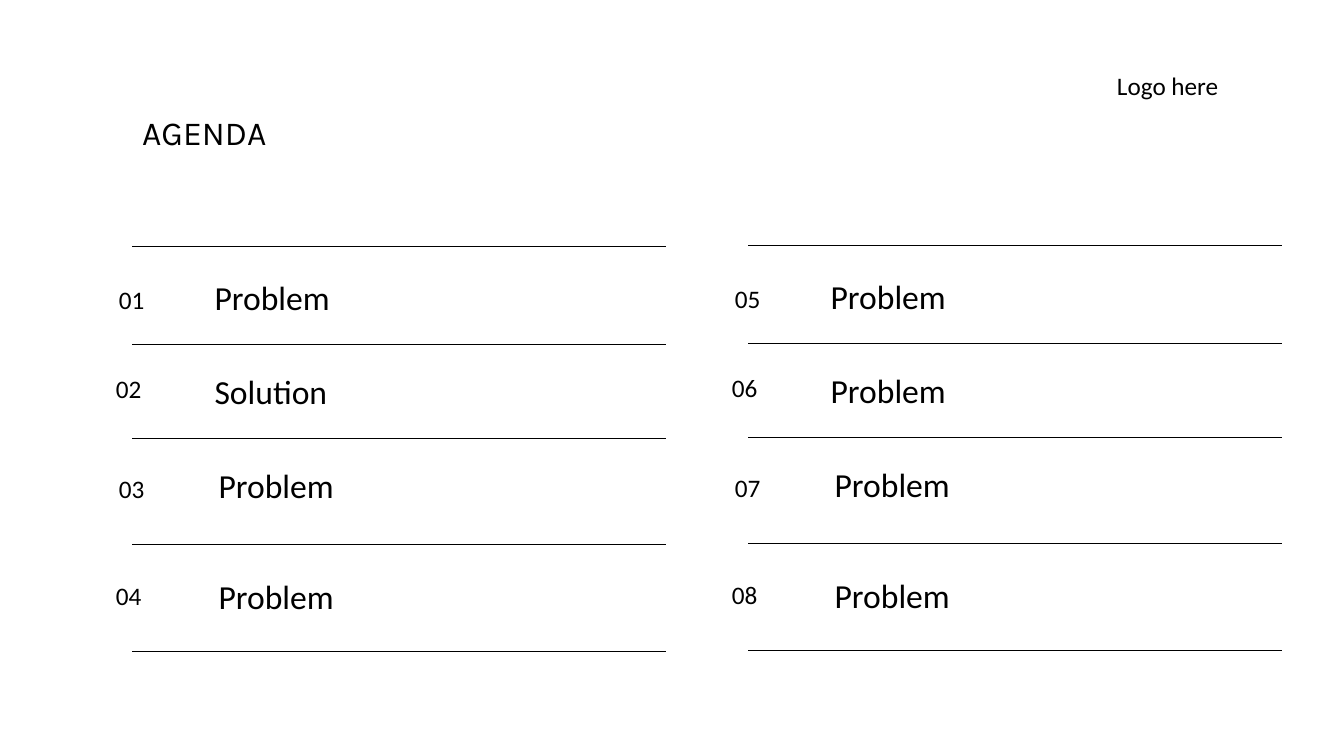
from lxml import etree
from pptx import Presentation
from pptx.dml.color import RGBColor
from pptx.enum.shapes import MSO_CONNECTOR
from pptx.enum.text import MSO_ANCHOR, MSO_AUTO_SIZE, PP_ALIGN
from pptx.oxml.ns import qn
from pptx.util import Inches, Pt

STRAIGHT = MSO_CONNECTOR.STRAIGHT
TOP = MSO_ANCHOR.TOP
FIT_SHAPE = MSO_AUTO_SIZE.SHAPE_TO_FIT_TEXT
LEFT = PP_ALIGN.LEFT

COLORS = {"ink": "000000", "paper": "FFFFFF"}
RULE_LENGTH = 5.3
RULE_TOPS = [2.44, 3.42, 4.35, 5.4, 6.46]
NUMBER_PLACES = [(-0.23, 2.77), (-0.26, 3.65), (-0.23, 4.65), (-0.26, 5.71)]
TOPIC_PLACES = [(0.72, 2.7), (0.72, 3.63), (0.76, 4.56), (0.76, 5.66)]
COLUMNS = [
    (1.31, 0, ["Problem", "Solution", "Problem", "Problem"]),
    (7.42, -0.01, ["Problem", "Problem", "Problem", "Problem"]),
]


class AgendaSlide:
    """Draws agenda elements on one slide in a shared style."""

    def __init__(self, deck):
        self.page = deck.slides.add_slide(deck.slide_layouts[5])
        self.ink = RGBColor.from_string(COLORS["ink"])
        fill = self.page.background.fill
        fill.solid()
        fill.fore_color.rgb = RGBColor.from_string(COLORS["paper"])

    def set_text(self, box, text, size, font_name, wrap):
        frame = box.text_frame
        frame.text = text
        frame.word_wrap = wrap
        frame.auto_size = FIT_SHAPE
        frame.vertical_anchor = TOP
        para = frame.paragraphs[0]
        para.alignment = LEFT
        para.font.size = Pt(size)
        para.font.name = font_name
        para.font.color.rgb = self.ink

    def title(self, text, left, top, width, height):
        box = self.page.shapes.title
        box.left, box.top = Inches(left), Inches(top)
        box.width, box.height = Inches(width), Inches(height)
        self.set_text(box, text, 24, "Karla", False)

    def label(self, text, left, top, width, height, size, wrap=False):
        box = self.page.shapes.add_textbox(
            Inches(left), Inches(top), Inches(width), Inches(height))
        self.set_text(box, text, size, "Calibri", wrap)

    def rule(self, left, top):
        line = self.page.shapes.add_connector(
            STRAIGHT, Inches(left), Inches(top),
            Inches(left + RULE_LENGTH), Inches(top))
        line.line.color.rgb = self.ink
        line.line.width = Pt(0.5)
        etree.SubElement(line._element.spPr, qn("a:effectLst"))

    def column(self, left, shift, topics, first_number):
        for top in RULE_TOPS:
            self.rule(left, top + shift)
        rows = zip(topics, NUMBER_PLACES, TOPIC_PLACES)
        for number, (topic, number_place, topic_place) in enumerate(rows, first_number):
            indent, top = number_place
            self.label(f"{number:02d}", left + indent, top + shift, 0.46, 0.4, 18)
            indent, top = topic_place
            self.label(topic, left + indent, top + shift, 1.36, 0.5, 24)


def main():
    deck = Presentation()
    deck.slide_width, deck.slide_height = Inches(13.33), Inches(7.5)
    agenda = AgendaSlide(deck)
    agenda.title("AGENDA", 1.31, 1.06, 1.44, 0.5)
    first_number = 1
    for left, shift, topics in COLUMNS:
        agenda.column(left, shift, topics, first_number)
        first_number += len(topics)
    agenda.label("Logo here", 10.98, 0.65, 1.97, 0.4, 18, wrap=True)
    deck.save("out.pptx")


if __name__ == "__main__":
    main()
